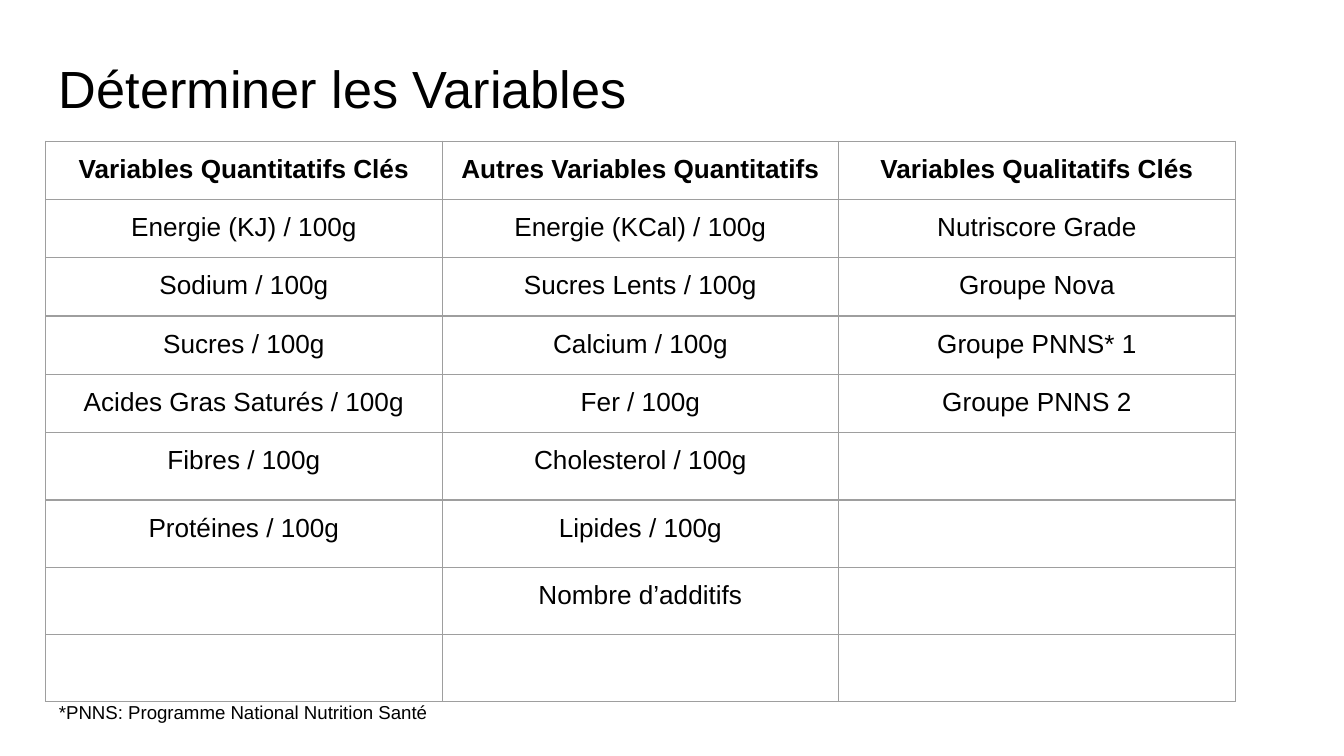
from dataclasses import dataclass

from lxml import etree
from pptx import Presentation
from pptx import util as u
from pptx.dml.color import RGBColor
from pptx.enum import text as t
from pptx.oxml.ns import qn

HUES = {"ink": "000000", "rule": "9E9E9E", "page": "FFFFFF"}
FACE = "Arial"
LEFT = 0.34
PAD = u.Inches(0.1)
INSETS = {f"margin_{side}": PAD for side in ("left", "right", "top", "bottom")}


@dataclass
class Label:
    words: str
    top: float
    width: float
    height: float
    size: int


LABELS = [
    Label("Déterminer les Variables", 0.32, 9.32, 0.63, 28),
    Label("*PNNS: Programme National Nutrition Santé", 5.13, 8.85, 0.42, 10),
]

# One list per column, heading first
COLUMNS = [
    ["Variables Quantitatifs Clés", "Energie (KJ) / 100g", "Sodium / 100g",
     "Sucres / 100g", "Acides Gras Saturés / 100g", "Fibres / 100g",
     "Protéines / 100g"],
    ["Autres Variables Quantitatifs", "Energie (KCal) / 100g",
     "Sucres Lents / 100g", "Calcium / 100g", "Fer / 100g",
     "Cholesterol / 100g", "Lipides / 100g", "Nombre d’additifs"],
    ["Variables Qualitatifs Clés", "Nutriscore Grade", "Groupe Nova",
     "Groupe PNNS* 1", "Groupe PNNS 2"],
]
HEIGHTS = [0.42] + [0.43] * 7 + [0.42]
WIDTH = 2.95
FRAME = u.Inches(3.28)  # rows grow beyond this to fit their text


def assign(item, values: dict) -> None:
    for name, value in values.items():
        setattr(item, name, value)


def write(frame, words: str, size: int, bold: bool = False) -> None:
    run = frame.paragraphs[0].add_run()
    run.text = words
    assign(run.font, {"name": FACE, "size": u.Pt(size), "bold": bold})
    run.font.color.rgb = RGBColor.from_string(HUES["ink"])


def add_label(slide, label: Label) -> None:
    box = slide.shapes.add_textbox(
        *map(u.Inches, (LEFT, label.top, label.width, label.height)))
    assign(box.text_frame, {**INSETS, "word_wrap": True,
                            "vertical_anchor": t.MSO_ANCHOR.TOP})
    write(box.text_frame, label.words, label.size)


def add_rules(cell) -> None:
    props = cell._tc.get_or_add_tcPr()
    for place, side in enumerate("LRTB"):
        line = etree.Element(qn(f"a:ln{side}"), w=str(u.Pt(0.75)))
        fill = etree.SubElement(line, qn("a:solidFill"))
        etree.SubElement(fill, qn("a:srgbClr"), val=HUES["rule"])
        props.insert(place, line)


def set_blank(cell) -> None:
    """Give an empty cell the font that sets its line height."""
    para = cell.text_frame.paragraphs[0]._p
    end = etree.SubElement(para, qn("a:endParaRPr"), sz="1800")
    etree.SubElement(end, qn("a:latin"), typeface=FACE)


def add_grid(slide) -> None:
    holder = slide.shapes.add_table(
        len(HEIGHTS), len(COLUMNS), u.Inches(LEFT), u.Inches(1.05),
        FRAME, FRAME)
    grid = holder.table
    assign(grid, {"first_row": False, "horz_banding": False})
    for row, height in zip(grid.rows, HEIGHTS):
        row.height = u.Inches(height)
    for col, words in enumerate(COLUMNS):
        grid.columns[col].width = u.Inches(WIDTH)
        for row in range(len(HEIGHTS)):
            cell = grid.cell(row, col)
            assign(cell, INSETS)
            cell.fill.background()
            add_rules(cell)
            if row < len(words):
                cell.text_frame.paragraphs[0].alignment = t.PP_ALIGN.CENTER
                write(cell.text_frame, words[row], 14, bold=row == 0)
            else:
                set_blank(cell)
    assign(holder, {"width": FRAME, "height": FRAME})


def main() -> None:
    deck = Presentation()
    wide = u.Inches(10)
    assign(deck, {"slide_width": wide, "slide_height": wide * 9 // 16})
    slide = deck.slides.add_slide(deck.slide_layouts[6])
    back = slide.background.fill
    back.solid()
    back.fore_color.rgb = RGBColor.from_string(HUES["page"])

    # Title, table, footnote
    title, note = LABELS
    add_label(slide, title)
    add_grid(slide)
    add_label(slide, note)
    deck.save("out.pptx")


if __name__ == "__main__":
    main()
